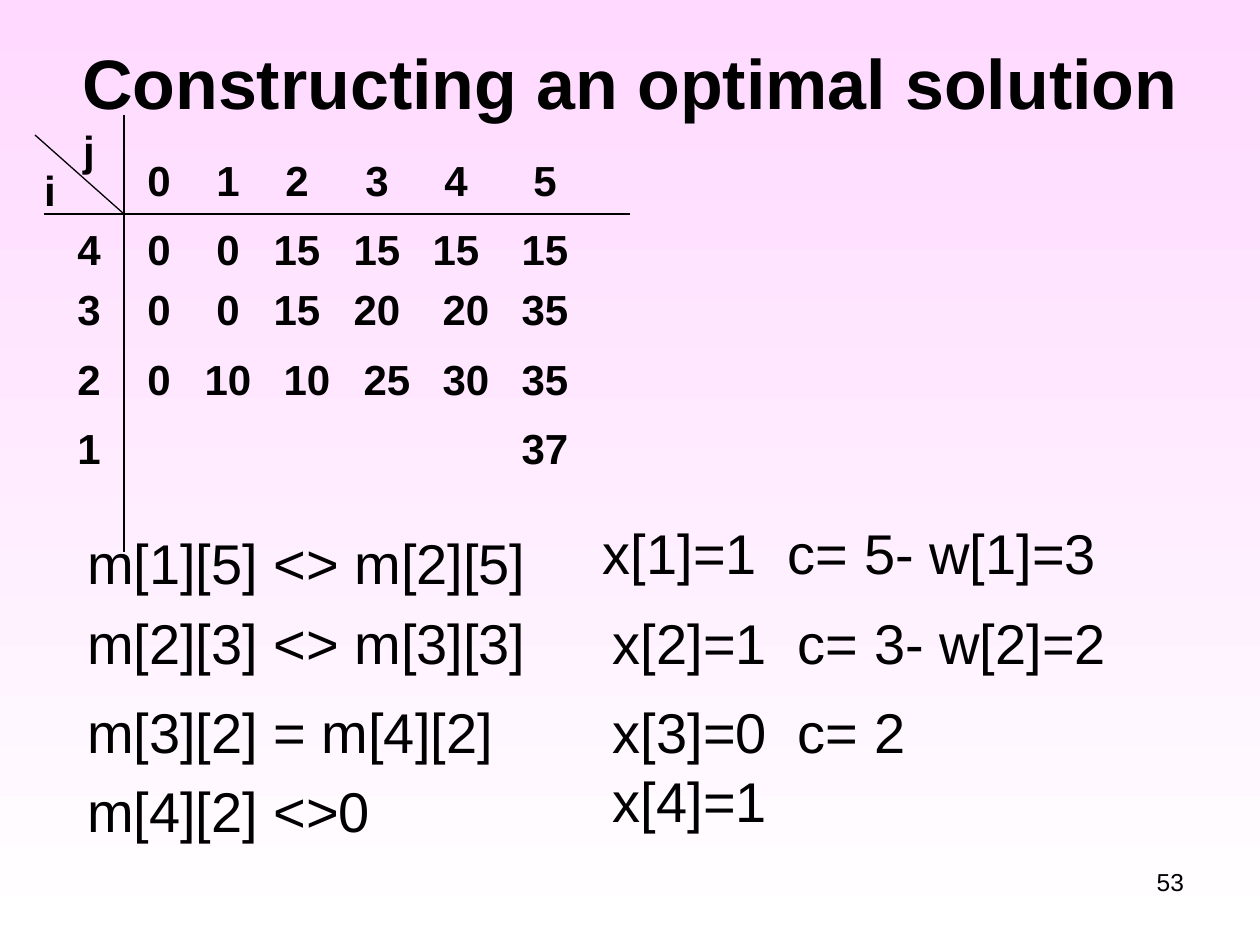
from lxml import etree
from pptx import Presentation
from pptx.dml.color import RGBColor
from pptx.enum.shapes import MSO_CONNECTOR
from pptx.enum.text import MSO_ANCHOR, PP_ALIGN
from pptx.oxml.ns import qn
from pptx.util import Pt

PX = 914400 // 126
LEFT, MID, RIGHT = PP_ALIGN.LEFT, PP_ALIGN.CENTER, PP_ALIGN.RIGHT
TOP, CENTRE = MSO_ANCHOR.TOP, MSO_ANCHOR.MIDDLE
STRAIGHT = MSO_CONNECTOR.STRAIGHT
COLORS = {"ink": "000000", "pink": "FFD9FF", "white": "FFFFFF"}

deck = Presentation()
deck.slide_width, deck.slide_height = 1260 * PX, 945 * PX
slide = deck.slides.add_slide(deck.slide_layouts[6])


def color(name):
    return RGBColor.from_string(COLORS[name])


def write(text, x, y, w, h, size, bold=False, align=LEFT, anchor=TOP, pad=13):
    """Add one line of text; pad is the inset at both sides."""
    box = slide.shapes.add_textbox(x * PX, y * PX, w * PX, h * PX)
    frame = box.text_frame
    frame.word_wrap = True
    frame.margin_left = frame.margin_right = pad * PX
    frame.vertical_anchor = anchor
    para = frame.paragraphs[0]
    para.text = text
    para.alignment = align
    font = para.font
    font.name, font.size, font.bold = "Arial", Pt(size), bold
    font.color.rgb = color("ink")


fill = slide.background.fill
fill.gradient()
fill.gradient_angle = 270
for stop, name in zip(fill.gradient_stops, ("pink", "white")):
    stop.color.rgb = color(name)

# Rules of the m[i][j] grid: header, side and corner
for ends in ((44, 214, 630, 214), (124, 115, 124, 552), (35, 135, 124, 214)):
    line = slide.shapes.add_connector(STRAIGHT, *(n * PX for n in ends))
    line.line.color.rgb = color("ink")
    line.line.width = Pt(0.75)
    etree.SubElement(line._element.spPr, qn("a:effectLst"))

# Grid values: row label first, then columns j = 0 to 5
cell = 50
cols = (64, 134, 203, 272, 352, 431, 520)
rows = (
    (155, ("", "0", "1", "2", "3", "4", "5")),
    (224, ("4", "0", "0", "15", "15", "15", "15")),
    (284, ("3", "0", "0", "15", "20", "20", "35")),
    (354, ("2", "0", "10", "10", "25", "30", "35")),
    (423, ("1", "", "", "", "", "", "37")),
)
nudged = {(284, 431), (354, 272), (354, 352), (354, 431)}
marks = [("i", 25, 165), ("j", 64, 125)]
for y, values in rows:
    for x, value in zip(cols, values):
        if value:
            marks.append((value, x + 10 * ((y, x) in nudged), y))
for value, x, y in marks:
    write(value, x, y, cell, cell, 24, True, MID, CENTRE, 0)

write("Constructing an optimal solution", 63, 38, 1134, 87, 40, True, MID, CENTRE)

# Trace: comparison on the left, choice on the right
steps = (
    ("m[1][5] <> m[2][5]", 522, "x[1]=1  c= 5- w[1]=3", 590, 512),
    ("m[2][3] <> m[3][3]", 602, "x[2]=1  c= 3- w[2]=2", 600, 602),
    ("m[3][2] = m[4][2]", 691, "x[3]=0  c= 2", 600, 691),
    ("m[4][2] <>0", 770, "x[4]=1", 600, 760),
)
for test, y, choice, x, top in steps:
    write(test, 74, y, 476, 100, 32)
    write(choice, x, top, 669, 100, 32)

write("53", 903, 861, 294, 66, 14, align=RIGHT)

deck.save("out.pptx")
